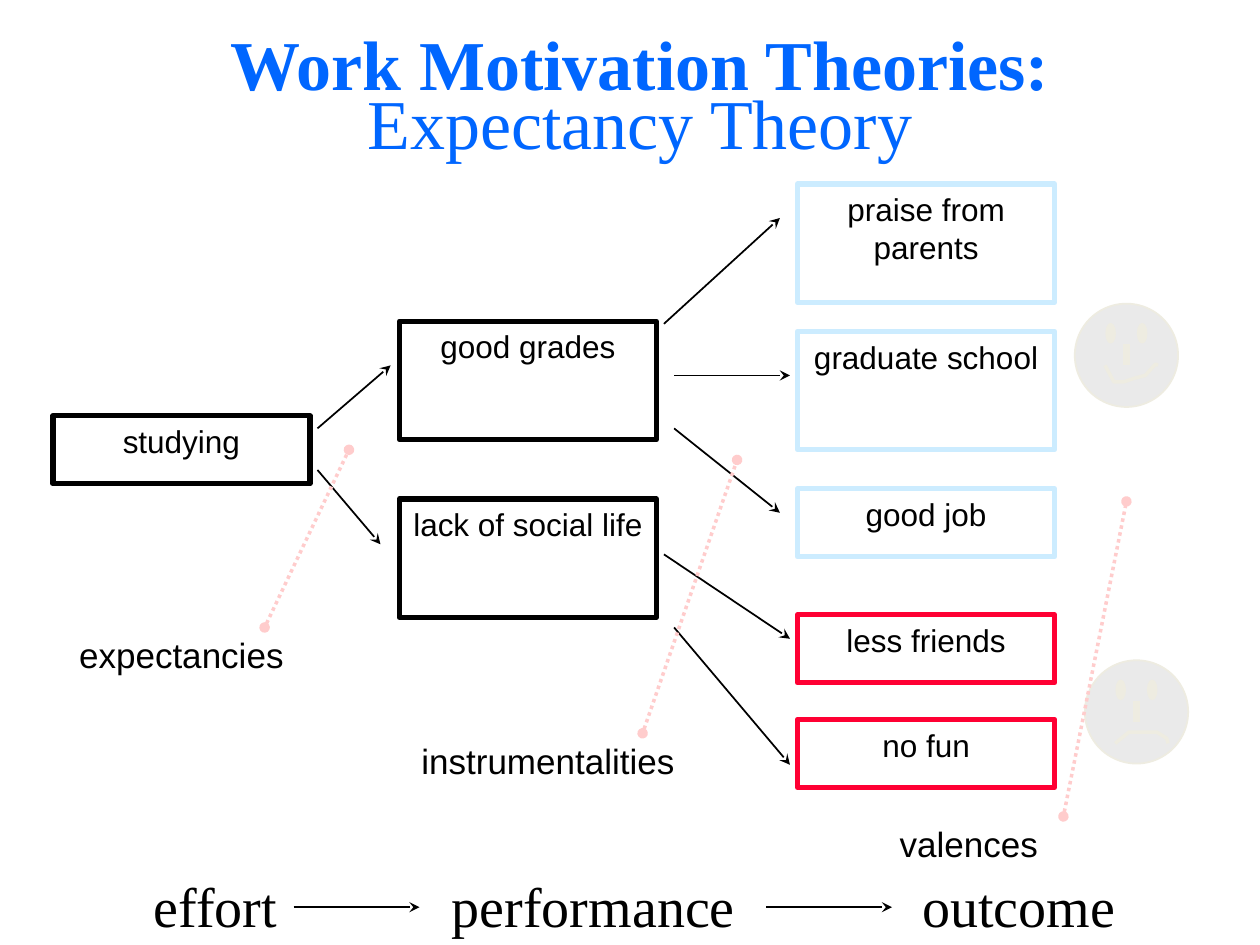
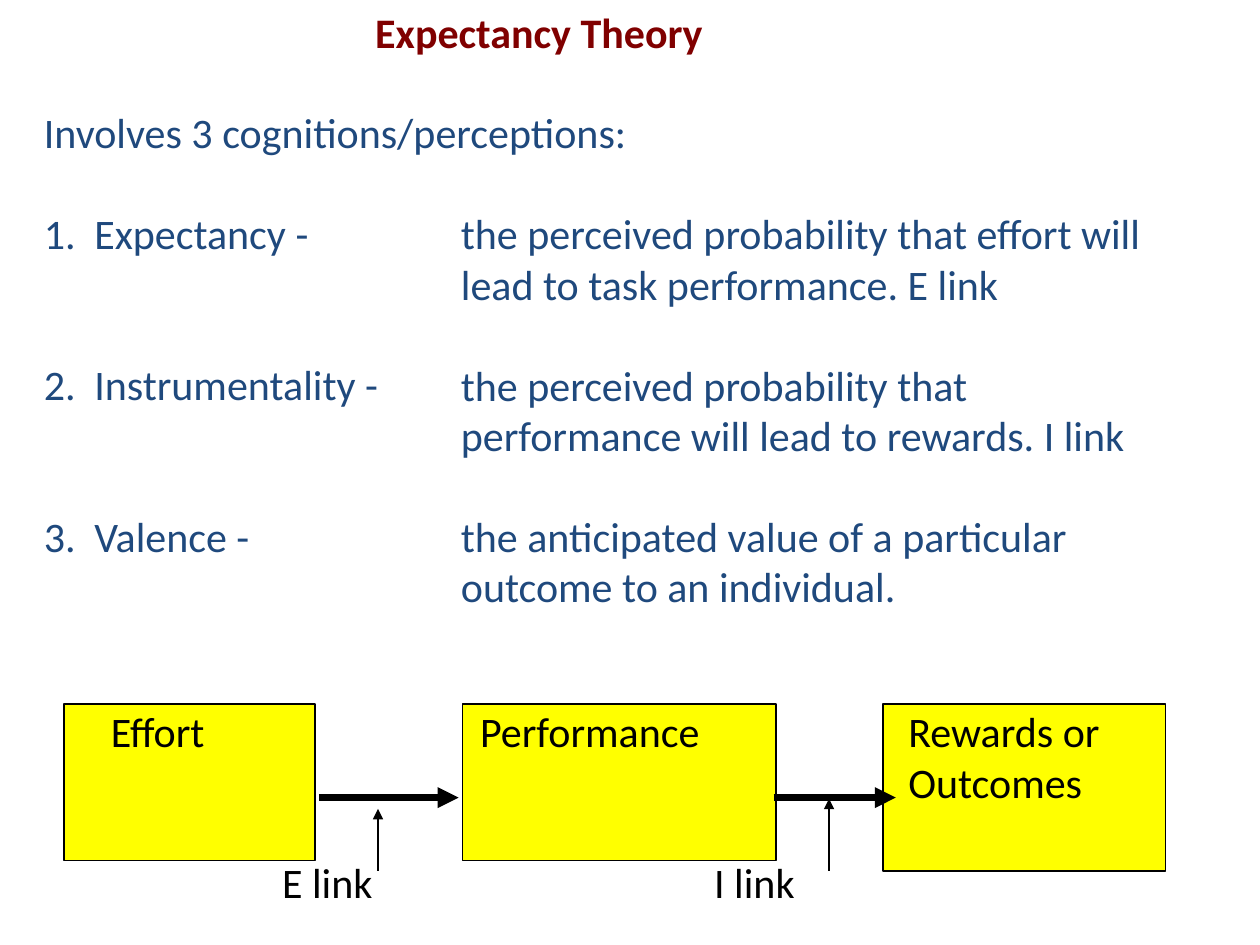
"""Build two slides on the expectancy theory of work motivation."""
from lxml import etree
from pptx import Presentation
from pptx import util as u
from pptx.dml import color as c
from pptx.enum import dml, shapes, text
from pptx.oxml import ns

hex_color = c.RGBColor.from_string
BLACK, TITLE_BLUE, MAROON, NAVY = "000000", "0066FF", "800000", "1F497D"
PALE_BLUE, RED, PINK, YELLOW = "CCECFF", "FF0033", "FFCCCC", "FFFF00"
FACE_GREY, FACE_CREAM = "EAEAEA", "EEECE1"
LEFT, CENTER = text.PP_ALIGN.LEFT, text.PP_ALIGN.CENTER
RECTANGLE, OVAL = shapes.MSO_SHAPE.RECTANGLE, shapes.MSO_SHAPE.OVAL
BOX_FONT = {"name": "Arial", "size": u.Pt(18)}
LABEL_FONT = {"name": "Arial", "size": u.Pt(20)}
STAGE_FONT = {"name": "Times New Roman", "size": u.Pt(32)}
BODY_FONT = {"name": "Calibri", "size": u.Pt(24)}
LINE_HEIGHT = 28.8


def add_box(slide, place, content=(), font=BODY_FONT, ink=BLACK, align=LEFT,
            kind=None, fill=None, line=None, width=1, insets=(0.1, 0.05), gap=0):
    """Add a preset shape, or a text box if no kind is given, with its paragraphs."""
    place = [u.Inches(value) for value in place]
    if kind is None:
        shape = slide.shapes.add_textbox(*place)
    else:
        shape = slide.shapes.add_shape(kind, *place)
        shape.shadow.inherit = False
        shape.fill.background()
        if fill:
            shape.fill.solid()
            shape.fill.fore_color.rgb = hex_color(fill)
        shape.line.color.rgb = hex_color(line)
        shape.line.width = u.Pt(width)
    frame = shape.text_frame
    side, top = [u.Inches(value) for value in insets]
    frame_format = {"word_wrap": True, "vertical_anchor": text.MSO_ANCHOR.TOP,
                    "margin_left": side, "margin_right": min(side, u.Inches(0.1)),
                    "margin_top": top, "margin_bottom": top}
    for name, value in frame_format.items():
        setattr(frame, name, value)
    for index, words in enumerate(content):
        paragraph = frame.add_paragraph() if index else frame.paragraphs[0]
        paragraph.text = words
        paragraph.alignment = align
        if index and gap:
            paragraph.space_before = u.Pt(gap)
        for run in paragraph.runs:
            run.font.color.rgb = hex_color(ink)
            for name, value in font.items():
                setattr(run.font, name, value)
    return shape


def add_line(slide, ends, ink=BLACK, width=1, head=None, tail=None, dash=None):
    """Add a straight line with optional arrowheads at its ends."""
    line = slide.shapes.add_connector(shapes.MSO_CONNECTOR.STRAIGHT,
                                      *[u.Inches(value) for value in ends])
    line.line.color.rgb = hex_color(ink)
    line.line.width = u.Pt(width)
    if dash:
        line.line.dash_style = dash
    outline = line.line._get_or_add_ln()
    for tag, end in (("a:headEnd", head), ("a:tailEnd", tail)):
        if end:
            etree.SubElement(outline, ns.qn(tag), type=end)
    etree.SubElement(line._element.spPr, ns.qn("a:effectLst"))


presentation = Presentation()
presentation.slide_width, presentation.slide_height = u.Inches(10), u.Inches(7.5)
blank = presentation.slide_layouts[6]

diagram = presentation.slides.add_slide(blank)
title = add_box(diagram, (1.33, 0.3, 7.5, 1.03), ["Work Motivation Theories: "],
                {"name": "Times New Roman", "size": u.Pt(40), "bold": True},
                TITLE_BLUE, CENTER)
heading = title.text_frame.paragraphs[0]
heading.line_spacing = 0.7
subtitle = heading.add_run()
subtitle.text = "Expectancy Theory"
subtitle.font.color.rgb = hex_color(TITLE_BLUE)
for name, value in {"name": "Times New Roman", "size": u.Pt(40), "bold": False}.items():
    setattr(subtitle.font, name, value)

for words, left, top, height, outline in (
        ("studying", 0.42, 3.3, 0.54, BLACK),
        ("good grades", 3.17, 2.55, 0.94, BLACK),
        ("lack of social life", 3.17, 3.96, 0.94, BLACK),
        ("praise from parents", 6.33, 1.46, 0.94, PALE_BLUE),
        ("graduate school", 6.33, 2.63, 0.94, PALE_BLUE),
        ("good job", 6.33, 3.88, 0.54, PALE_BLUE),
        ("less friends", 6.33, 4.88, 0.54, RED),
        ("no fun", 6.33, 5.71, 0.54, RED)):
    add_box(diagram, (left, top, 2.04, height), [words], BOX_FONT, align=CENTER,
            kind=RECTANGLE, line=outline, width=3, insets=(0.08, 0.05))

for ends in ((2.52, 3.4, 3.1, 2.9), (2.52, 3.73, 3.02, 4.32),
             (5.27, 2.57, 6.19, 1.73), (5.35, 2.98, 6.27, 2.98),
             (5.35, 3.4, 6.19, 4.07), (5.35, 4.98, 6.27, 6.07),
             (5.27, 4.4, 6.27, 5.07), (2.33, 7.2, 3.33, 7.2),
             (6.08, 7.2, 7.08, 7.2)):
    add_line(diagram, ends, tail="stealth")

smile = [(0.24, 0.49), (0.31, 0.62), (0.39, 0.62), (0.48, 0.59),
         (0.56, 0.57), (0.64, 0.48), (0.66, 0.49)]
frown = [(0.24, 0.66), (0.35, 0.57), (0.42, 0.57), (0.5, 0.57),
         (0.57, 0.57), (0.65, 0.62), (0.66, 0.66)]
for left, top, mouth in ((8.53, 2.41, smile), (8.61, 5.24, frown)):
    add_box(diagram, (left, top, 0.82, 0.82), kind=OVAL, fill=FACE_GREY, line=FACE_CREAM)
    for eye in (0.25, 0.5):
        add_box(diagram, (left + eye, top + 0.16, 0.07, 0.15), kind=OVAL,
                fill=FACE_CREAM, line=FACE_CREAM)
    add_line(diagram, (left + 0.41, top + 0.49, left + 0.41, top + 0.32), FACE_CREAM, 4)
    points = [(u.Inches(left + x), u.Inches(top + y)) for x, y in mouth]
    builder = diagram.shapes.build_freeform(*points[0])
    builder.add_line_segments(points[1:], close=False)
    lips = builder.convert_to_shape()
    lips.shadow.inherit = False
    lips.fill.background()
    lips.line.color.rgb = hex_color(FACE_CREAM)
    lips.line.width = u.Pt(2)

for words, left, top, width, pointer in (
        ("expectancies", 0.44, 4.98, 2, (2.1, 4.98, 2.77, 3.57)),
        ("instrumentalities", 3.1, 5.82, 2.5, (5.1, 5.82, 5.85, 3.65)),
        ("valences", 6.44, 6.48, 2.5, (8.44, 6.48, 8.94, 3.98))):
    add_box(diagram, (left, top, width, 0.43), [words], LABEL_FONT, align=CENTER)
    add_line(diagram, pointer, PINK, 2, "oval", "oval", dml.MSO_LINE.ROUND_DOT)

for words, left, width in (("effort", 0.92, 1.58), ("performance", 3.25, 2.92),
                           ("outcome", 7, 2.17)):
    add_box(diagram, (left, 6.87, width, 0.63), [words], STAGE_FONT, align=CENTER)

summary = presentation.slides.add_slide(blank)
add_box(summary, (2.88, 0, 4, 0.5), ["Expectancy Theory"],
        {**BODY_FONT, "bold": True}, MAROON)
add_box(summary, (0.25, 0.8, 9.4, 0.5), ["Involves 3 cognitions/perceptions:"], ink=NAVY)
terms = add_box(summary, (0.25, 1.6, 3.2, 2.9),
                ["Expectancy -", "Instrumentality -", "Valence -"],
                ink=NAVY, gap=2 * LINE_HEIGHT)
for paragraph in terms.text_frame.paragraphs:
    properties = paragraph._p.get_or_add_pPr()
    properties.set("marL", str(u.Inches(0.4)))
    properties.set("indent", str(-u.Inches(0.4)))
    etree.SubElement(properties, ns.qn("a:buFont"), typeface="+mj-lt")
    etree.SubElement(properties, ns.qn("a:buAutoNum"), type="arabicPeriod")
add_box(summary, (3.56, 1.6, 6.1, 3.35),
        ["the perceived probability that effort will\vlead to task performance. E link",
         "the perceived probability that\vperformance will lead to rewards. I link",
         "the anticipated value of a particular\voutcome to an individual."],
        ink=NAVY, gap=LINE_HEIGHT)

for words, left, width, height, inset in (
        ("Effort", 0.51, 1.99, 1.24, 0.37),
        ("Performance", 3.67, 2.49, 1.24, 0.14),
        ("Rewards or\vOutcomes", 7.01, 2.24, 1.32, 0.2)):
    add_box(summary, (left, 5.59, width, height), [words], kind=RECTANGLE,
            fill=YELLOW, line=BLACK, insets=(inset, 0.01))
for start, end in ((2.53, 3.64), (6.14, 7.11)):
    add_line(summary, (start, 6.33, end, 6.33), width=4, tail="triangle")
for words, left, pointer, tip in (("E link", 2.14, 3, 6.42), ("I link", 5.57, 6.58, 6.34)):
    add_line(summary, (pointer, 6.91, pointer, tip), tail="triangle")
    add_box(summary, (left, 6.75, 1, 0.5), [words])

presentation.save("out.pptx")
